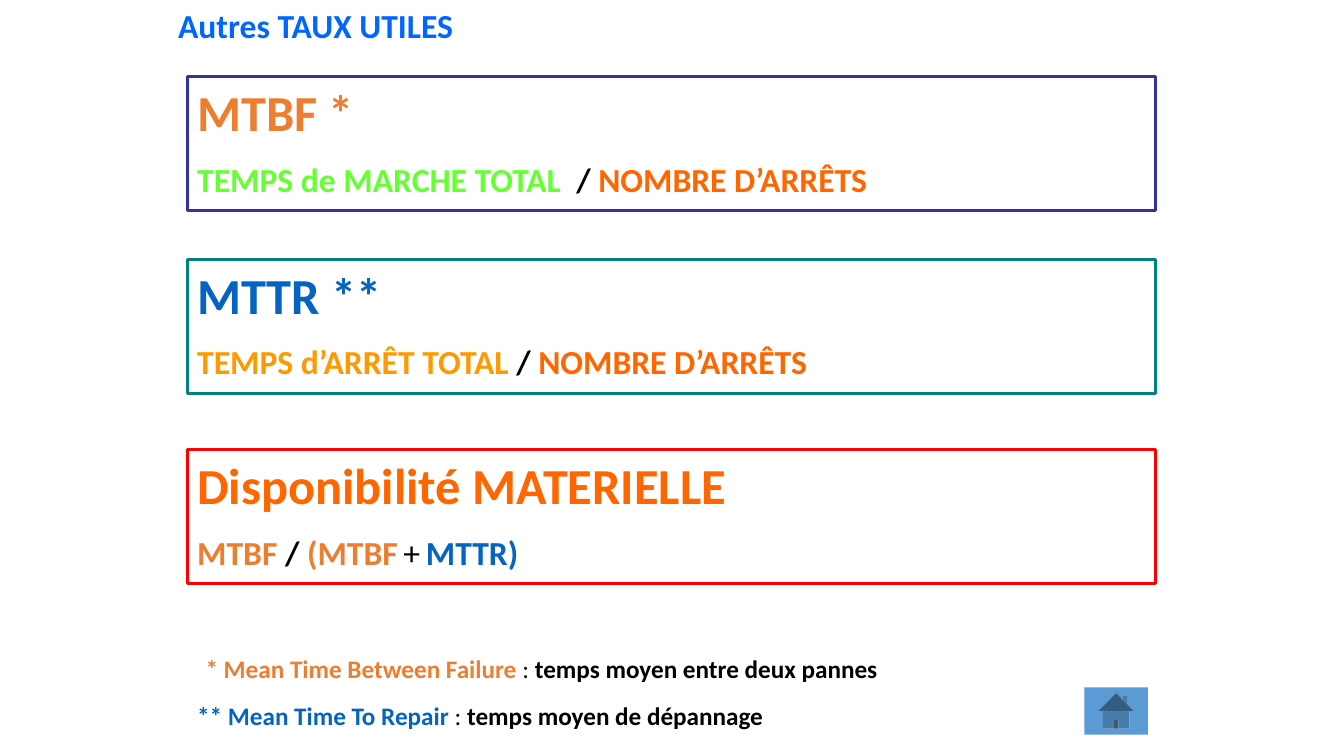
from pptx import Presentation
from pptx.dml.color import RGBColor
from pptx.enum.shapes import MSO_SHAPE
from pptx.enum.text import MSO_ANCHOR, PP_ALIGN
from pptx.util import Cm, Pt

RECT = MSO_SHAPE.RECTANGLE
HOME = MSO_SHAPE.ACTION_BUTTON_HOME
TOP = MSO_ANCHOR.TOP
LEFT = PP_ALIGN.LEFT

HUES = {
    "black": "000000",
    "title": "0066FF",
    "mtbf": "ED7D31",
    "mttr": "0563C1",
    "stop": "FF6600",
    "run": "66FF33",
    "down": "FF9900",
    "navy": "333399",
    "teal": "008080",
    "red": "FF0000",
    "home": "5B9BD5",
}


def color(name):
    return RGBColor.from_string(HUES[name])


def write(shape, lines):
    frame = shape.text_frame
    frame.word_wrap = True
    frame.vertical_anchor = TOP
    for i, line in enumerate(lines):
        para = frame.add_paragraph() if i else frame.paragraphs[0]
        para.alignment = LEFT
        para.space_before = Pt(12 if i else 0)
        for text, size, hue, bold in line:
            run = para.add_run()
            run.text = text
            form = {"name": "Calibri", "size": Pt(size), "bold": bold}
            for key, value in form.items():
                setattr(run.font, key, value)
            run.font.color.rgb = color(hue)


deck = Presentation()
deck.slide_width = Cm(33.87)
deck.slide_height = Cm(19.05)
slide = deck.slides.add_slide(deck.slide_layouts[6])
shapes = slide.shapes

slash = ("/ ", 24, "black", True)
stops = ("NOMBRE D’ARRÊTS", 24, "stop", True)
boxes = [
    (1.93, "navy", ("MTBF *", 36, "mtbf", True),
     [("TEMPS de MARCHE TOTAL  ", 24, "run", True), slash, stops]),
    (6.53, "teal", ("MTTR **", 36, "mttr", True),
     [("TEMPS d’ARRÊT TOTAL ", 24, "down", True), slash, stops]),
    (11.33, "red", ("Disponibilité MATERIELLE", 36, "stop", True),
     [("MTBF ", 24, "mtbf", True), slash, ("(MTBF", 24, "mtbf", True),
      (" ", 18, "black", False), ("+", 24, "black", False),
      (" ", 18, "black", False), ("MTTR)", 24, "mttr", True)]),
]
for top, edge, head, ratio in boxes:
    box = shapes.add_shape(RECT, Cm(4.72), Cm(top), Cm(24.41), Cm(3.38))
    box.shadow.inherit = False
    box.fill.background()
    box.line.color.rgb = color(edge)
    box.line.width = Pt(2)
    write(box, [[head], ratio])

colon = (": ", 18, "black", False)
notes = [
    (4.24, 0, 25.4, 1.27, [("Autres TAUX UTILES", 24, "title", True)]),
    (4.93, 16.33, 21.62, 1.02,
     [("* Mean Time Between Failure ", 18, "mtbf", True), colon,
      ("temps moyen entre deux pannes", 18, "black", True)]),
    (4.72, 17.53, 23.39, 1.02,
     [("** Mean Time To Repair ", 18, "mttr", True), colon,
      ("temps moyen de dépannage", 18, "black", True)]),
]
for left, top, width, height, line in notes:
    note = shapes.add_textbox(Cm(left), Cm(top), Cm(width), Cm(height))
    write(note, [line])

home = shapes.add_shape(HOME, Cm(27.33), Cm(17.32), Cm(1.6), Cm(1.19))
home.shadow.inherit = False
home.fill.solid()
home.fill.fore_color.rgb = color("home")
home.line.fill.background()

deck.save("out.pptx")
